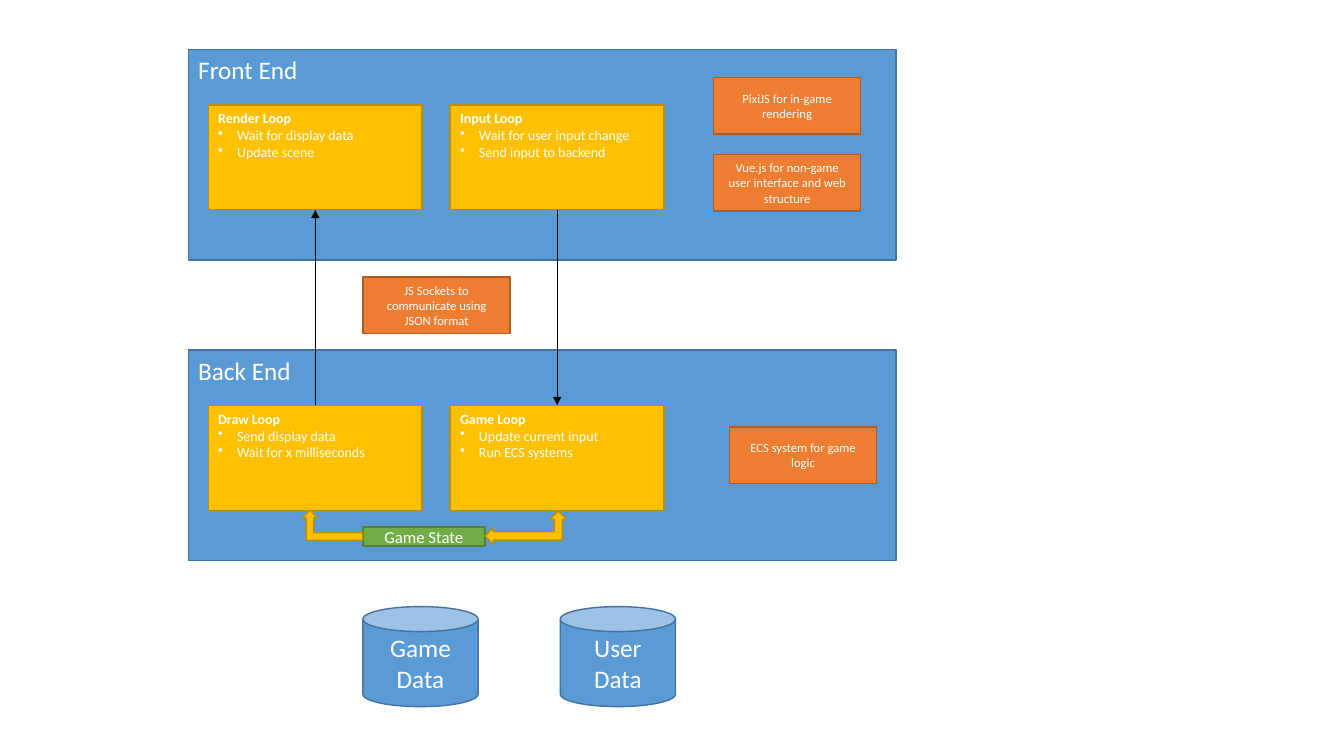
from dataclasses import dataclass

from lxml import etree
from pptx import Presentation
from pptx.dml.color import RGBColor
from pptx.enum.shapes import MSO_CONNECTOR, MSO_SHAPE
from pptx.enum.text import MSO_ANCHOR, PP_ALIGN
from pptx.oxml.ns import qn
from pptx.util import Pt

RECTANGLE = MSO_SHAPE.RECTANGLE
PROCESS = MSO_SHAPE.FLOWCHART_PROCESS
CAN = MSO_SHAPE.CAN
LEFT_UP_ARROW = MSO_SHAPE.LEFT_UP_ARROW
BENT_UP_ARROW = MSO_SHAPE.BENT_UP_ARROW
STRAIGHT = MSO_CONNECTOR.STRAIGHT
TOP, MIDDLE = MSO_ANCHOR.TOP, MSO_ANCHOR.MIDDLE
LEFT, CENTER = PP_ALIGN.LEFT, PP_ALIGN.CENTER


@dataclass(frozen=True)
class Theme:
    font: str = "Calibri"
    text: str = "FFFFFF"
    arrow: str = "000000"
    # Fill and outline pairs
    blue: tuple = ("5B9BD5", "43739E")
    gold: tuple = ("FFC000", "BD8E00")
    orange: tuple = ("ED7D31", "AF5C24")
    green: tuple = ("70AD47", "538035")
    # Type sizes
    title: float = 18
    state: float = 12
    loop: float = 10
    note: float = 9
    # Line widths and bullet indent
    outline: float = 1
    arrow_width: float = 0.5
    indent: float = 13.5


class Diagram:
    def __init__(self, slide, theme):
        self.slide = slide
        self.theme = theme

    def shape(self, kind, box, colors, flip=False):
        shape = self.slide.shapes.add_shape(kind, *map(Pt, box))
        shape.shadow.inherit = False
        fill, outline = map(RGBColor.from_string, colors)
        shape.fill.solid()
        shape.fill.fore_color.rgb = fill
        shape.line.color.rgb = outline
        shape.line.width = Pt(self.theme.outline)
        if flip:
            shape._element.spPr.xfrm.set("flipH", "1")
        return shape

    def set_text(self, shape, lines, size, anchor=MIDDLE, align=CENTER):
        frame = shape.text_frame
        frame.word_wrap = True
        frame.vertical_anchor = anchor
        frame.text = "\n".join(lines)
        for paragraph in frame.paragraphs:
            paragraph.alignment = align
            paragraph.font.name = self.theme.font
            paragraph.font.size = Pt(size)
            paragraph.font.color.rgb = RGBColor.from_string(self.theme.text)
        return frame.paragraphs

    def label(self, kind, box, colors, text, size):
        self.set_text(self.shape(kind, box, colors), [text], size)

    def panel(self, box, title):
        shape = self.shape(RECTANGLE, box, self.theme.blue)
        self.set_text(shape, [title], self.theme.title, TOP, LEFT)

    def loop(self, box, title, steps):
        shape = self.shape(RECTANGLE, box, self.theme.gold)
        heading, *items = self.set_text(shape, [title, *steps], self.theme.loop, TOP, LEFT)
        heading.font.bold = True
        for item in items:
            self.bullet(item)

    def bullet(self, paragraph):
        indent = Pt(self.theme.indent)
        properties = paragraph._p.get_or_add_pPr()
        properties.set("marL", str(indent))
        properties.set("indent", str(-indent))
        mark = etree.Element(qn("a:buChar"), char="•")
        properties.insert_element_before(mark, "a:tabLst", "a:defRPr", "a:extLst")

    def arrow(self, x, start, end):
        connector = self.slide.shapes.add_connector(
            STRAIGHT, Pt(x), Pt(start), Pt(x), Pt(end))
        connector.line.color.rgb = RGBColor.from_string(self.theme.arrow)
        connector.line.width = Pt(self.theme.arrow_width)
        etree.SubElement(connector.line._get_or_add_ln(), qn("a:tailEnd"), type="triangle")
        etree.SubElement(connector._element.spPr, qn("a:effectLst"))


presentation = Presentation()
presentation.slide_width, presentation.slide_height = Pt(960), Pt(540)
blank_layout = presentation.slide_layouts[6]
theme = Theme()
diagram = Diagram(presentation.slides.add_slide(blank_layout), theme)

# Layout rules
PANEL_LEFT, PANEL_WIDTH, PANEL_HEIGHT = 134.5, 505.5, 150.5
PANEL_TOPS = (35.3, 249.9)
LOOP_LEFTS = (148.8, 321.6)
LOOP_WIDTH, LOOP_HEIGHT, LOOP_OFFSET = 152.8, 75, 39.6
NOTE_SIZE = (105.2, 40.4)
CENTER_LEFT = 259.2

# Panels with their loops
tiers = (
    ("Front End", (
        ("Render Loop", ("Wait for display data", "Update scene")),
        ("Input Loop", ("Wait for user input change", "Send input to backend")),
    )),
    ("Back End", (
        ("Draw Loop", ("Send display data", "Wait for x milliseconds")),
        ("Game Loop", ("Update current input", "Run ECS systems")),
    )),
)
for top, (title, loops) in zip(PANEL_TOPS, tiers):
    diagram.panel((PANEL_LEFT, top, PANEL_WIDTH, PANEL_HEIGHT), title)
    for left, (name, steps) in zip(LOOP_LEFTS, loops):
        box = (left, top + LOOP_OFFSET, LOOP_WIDTH, LOOP_HEIGHT)
        diagram.loop(box, name, steps)

# Technology notes
notes = (
    (PROCESS, CENTER_LEFT, 197.8, "JS Sockets to communicate using JSON format"),
    (RECTANGLE, 509.6, 110.4, "Vue.js for non-game user interface and web structure"),
    (RECTANGLE, 509.6, 55.4, "PixiJS for in-game rendering"),
    (RECTANGLE, 521, 305, "ECS system for game logic"),
)
for kind, left, top, text in notes:
    diagram.label(kind, (left, top, *NOTE_SIZE), theme.orange, text, theme.note)

# Data flow between the panels
front_bottom = PANEL_TOPS[0] + LOOP_OFFSET + LOOP_HEIGHT
back_top = PANEL_TOPS[1] + LOOP_OFFSET
render_x, input_x = (left + LOOP_WIDTH / 2 for left in LOOP_LEFTS)
diagram.arrow(render_x, back_top, front_bottom)
diagram.arrow(input_x, front_bottom, back_top)

# Shared game state
diagram.label(RECTANGLE, (CENTER_LEFT, 376.4, 87.2, 13.7), theme.green,
              "Game State", theme.state)
diagram.shape(LEFT_UP_ARROW, (346.4, 365, 58.3, 23.8), theme.gold)
diagram.shape(BENT_UP_ARROW, (216, 364.4, 43.2, 21.6), theme.gold, flip=True)

# Data stores
for left, text in ((400.2, "User Data"), (CENTER_LEFT, "Game Data")):
    diagram.label(CAN, (left, 433.3, 82.3, 71.5), theme.blue, text, theme.title)

presentation.save("out.pptx")
